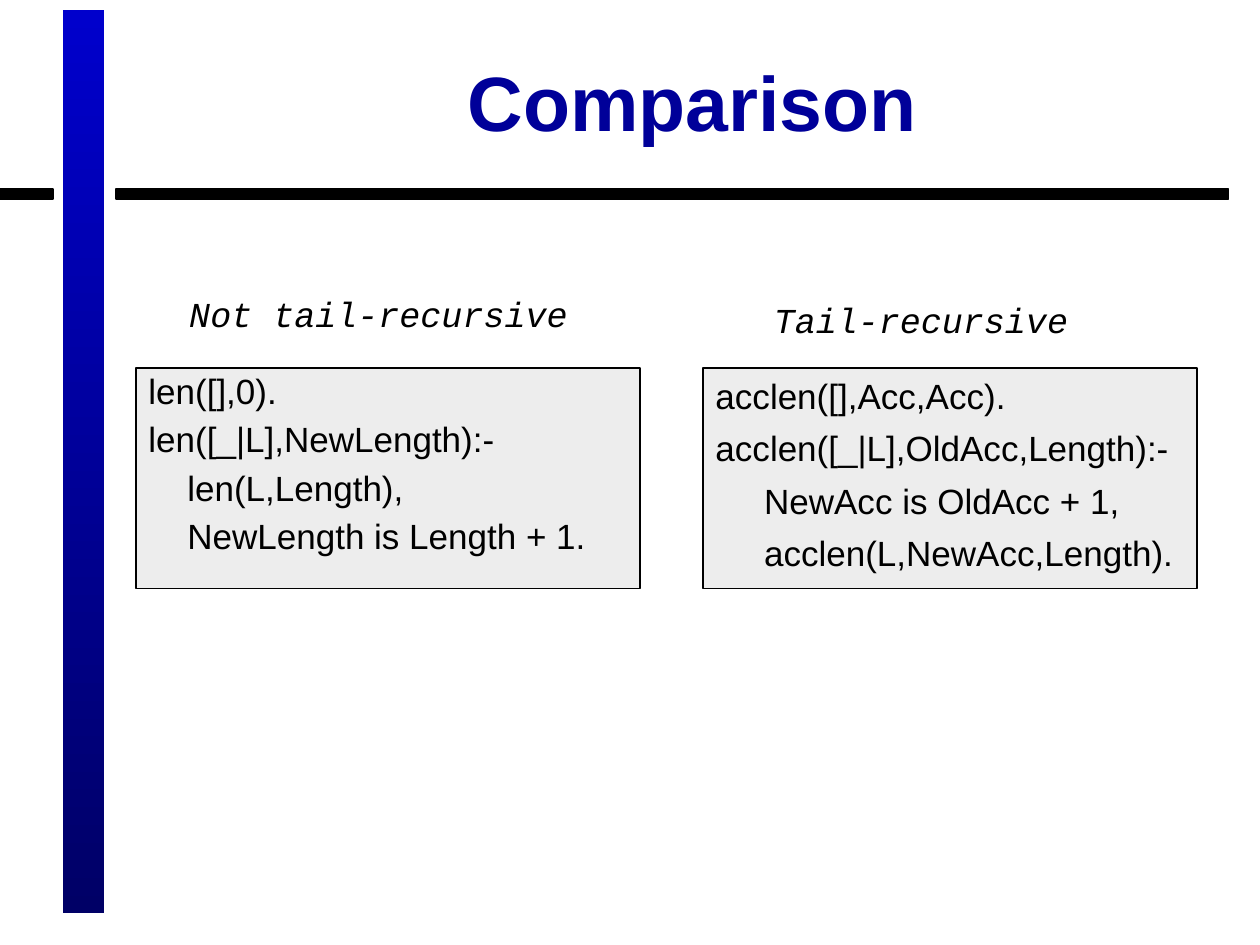
from lxml import etree
from pptx import Presentation, util as u
from pptx.dml.color import RGBColor
from pptx.enum import shapes, text
from pptx.oxml.ns import qn

BLACK, WHITE, GREY = "000000", "FFFFFF", "DDDDDD"
NAVY, BLUE, DEEP = "000099", "0000CC", "000066"


def paint(color, code):
    color.rgb = RGBColor.from_string(code)


class Deck:
    body, mono = "Arial", "Courier New"
    size, gap = 20, 6

    def __init__(self):
        self.prs = Presentation()
        self.prs.slide_width = u.Inches(10)
        self.prs.slide_height = u.Inches(7.5)
        self.slide = self.prs.slides.add_slide(self.prs.slide_layouts[6])

    def rect(self, at, fill=None, line=None, alpha=None):
        box = self.slide.shapes.add_shape(
            shapes.MSO_SHAPE.RECTANGLE, *map(u.Inches, at))
        box.shadow.inherit = False
        if fill:
            box.fill.solid()
            paint(box.fill.fore_color, fill)
        if alpha:
            tone = box.fill._xPr.find(qn("a:solidFill"))[0]
            etree.SubElement(tone, qn("a:alpha")).set("val", str(alpha * 1000))
        if line:
            paint(box.line.color, line)
            box.line.width = u.Pt(0.75)
        else:
            box.line.fill.background()
        return box

    def fade(self, at, top, end):
        fill = self.rect(at).fill
        fill.gradient()
        fill.gradient_angle = 270
        for stop, code, pos in zip(fill.gradient_stops, (top, end), (0, 1)):
            paint(stop.color, code)
            stop.position = pos

    def style(self, par, name, size, color, align):
        par.alignment = align
        par.font.name = name
        par.font.size = u.Pt(size)
        paint(par.font.color, color)

    def title(self, at, words):
        frame = self.rect(at, WHITE, WHITE).text_frame
        frame.vertical_anchor = text.MSO_ANCHOR.MIDDLE
        par = frame.paragraphs[0]
        par.text = words
        self.style(par, self.body, 44, NAVY, text.PP_ALIGN.CENTER)
        par.font.bold = True

    def label(self, at, words):
        frame = self.slide.shapes.add_textbox(*map(u.Inches, at)).text_frame
        frame.word_wrap = False
        frame.auto_size = text.MSO_AUTO_SIZE.SHAPE_TO_FIT_TEXT
        par = frame.paragraphs[0]
        par.text = words
        self.style(par, self.mono, self.size, BLACK, text.PP_ALIGN.CENTER)
        par.font.italic = True

    def code(self, at, rows, pitch=1.0):
        frame = self.rect(at, GREY, BLACK, alpha=50).text_frame
        frame.word_wrap = True
        frame.vertical_anchor = text.MSO_ANCHOR.TOP
        for i, row in enumerate(rows):
            par = frame.add_paragraph() if i else frame.paragraphs[0]
            par.text = row
            par.line_spacing = pitch
            if i:
                par.space_before = u.Pt(self.gap)
            props = par._p.get_or_add_pPr()
            props.set("marL", str(u.Inches(0.38)))
            props.set("indent", str(u.Inches(-0.38)))
            self.style(par, self.body, self.size, BLACK, text.PP_ALIGN.LEFT)


def main():
    deck = Deck()

    # Frame bars
    deck.fade((0.5, 0.08, 0.33, 7.17), BLUE, DEEP)
    for left, width in ((0.92, 8.83), (0, 0.42)):
        deck.rect((left, 1.5, width, 0.08), BLACK, BLACK)

    # Title
    deck.title((1.08, 0.17, 8.83, 1.25), "Comparison")

    # Code boxes
    deck.code((5.58, 2.92, 3.92, 1.75), (
        "acclen([],Acc,Acc).",
        "acclen([_|L],OldAcc,Length):-",
        "     NewAcc is OldAcc + 1,",
        "     acclen(L,NewAcc,Length)."))
    deck.code((1.08, 2.92, 4, 1.75), (
        "len([],0).",
        "len([_|L],NewLength):-",
        "    len(L,Length),",
        "    NewLength is Length + 1."), pitch=0.9)

    # Headings
    deck.label((1.4, 2.27, 3.21, 0.44), "Not tail-recursive")
    deck.label((6.04, 2.32, 2.54, 0.44), "Tail-recursive")

    deck.prs.save("out.pptx")


if __name__ == "__main__":
    main()
